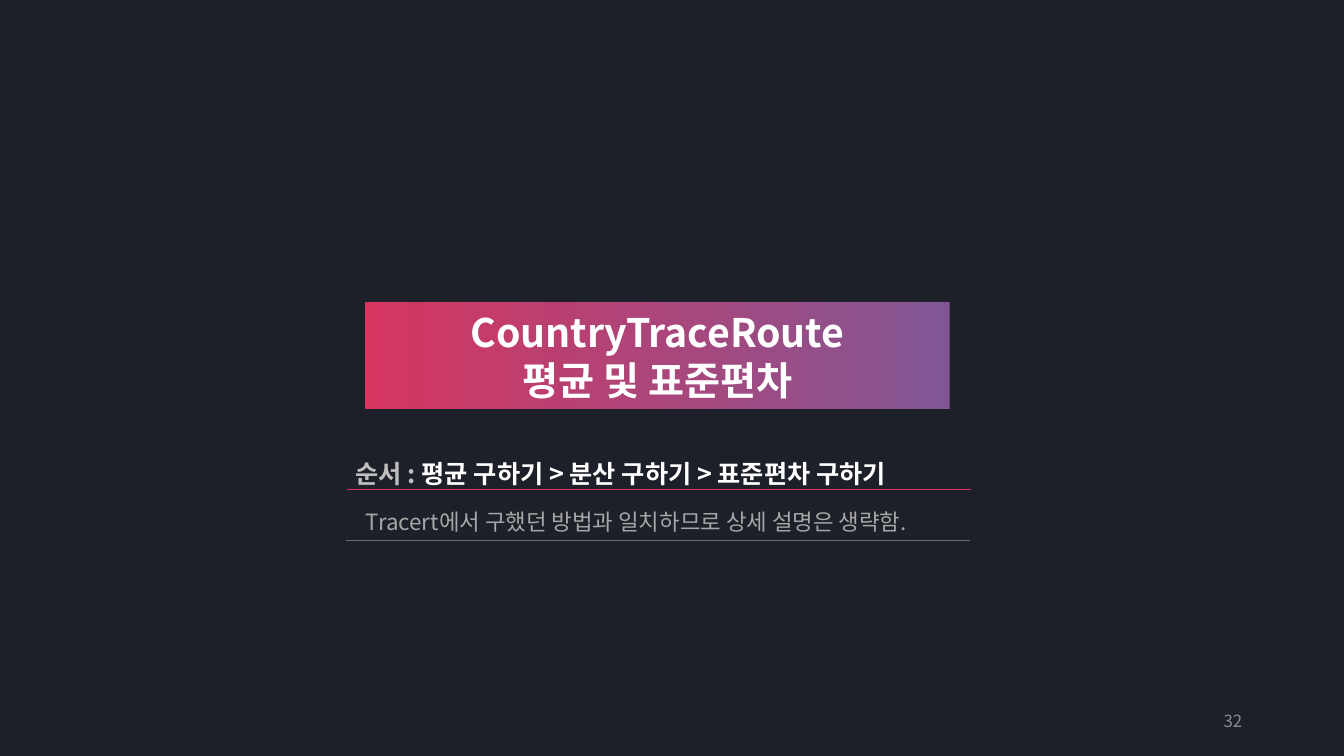
from lxml import etree
from pptx import Presentation
from pptx.dml.color import RGBColor
from pptx.enum.shapes import MSO_CONNECTOR
from pptx.enum.text import MSO_ANCHOR, MSO_AUTO_SIZE, PP_ALIGN
from pptx.oxml.ns import qn
from pptx.util import Inches, Pt

STRAIGHT = MSO_CONNECTOR.STRAIGHT
TOP, MIDDLE = MSO_ANCHOR.TOP, MSO_ANCHOR.MIDDLE
LEFT, CENTER, RIGHT = PP_ALIGN.LEFT, PP_ALIGN.CENTER, PP_ALIGN.RIGHT
FIXED_SIZE = MSO_AUTO_SIZE.NONE

FONT_NAME = "Noto Sans CJK KR"
BACKGROUND = RGBColor(0x1D, 0x20, 0x29)
WHITE = RGBColor(0xFF, 0xFF, 0xFF)
PINK = RGBColor(0xD5, 0x35, 0x5F)
PURPLE = RGBColor(0x81, 0x56, 0x95)
LABEL_GRAY = RGBColor(0xBF, 0xBF, 0xBF)
NOTE_GRAY = RGBColor(0xA6, 0xA6, 0xA6)
NUMBER_GRAY = RGBColor(0x8C, 0x8C, 0x8C)
RULE_GRAY = RGBColor(0x6A, 0x6B, 0x70)


def set_attributes(target, values):
    """Set each named attribute of the target."""
    for name, value in values.items():
        setattr(target, name, value)


def place(shape, left, top, width, height):
    """Move and size a shape, in inches."""
    box = {"left": left, "top": top, "width": width, "height": height}
    set_attributes(shape, {name: Inches(value) for name, value in box.items()})


def add_run(paragraph, text, size, color, bold=False):
    """Add a formatted run whose font also covers Korean text."""
    run = paragraph.add_run()
    run.text = text
    set_attributes(run.font, {"name": FONT_NAME, "size": Pt(size), "bold": bold})
    run.font.color.rgb = color
    latin = run.font._element.find(qn("a:latin"))
    east_asian = etree.Element(qn("a:ea"), typeface=FONT_NAME)
    latin.addnext(east_asian)


def write_lines(shape, lines, anchor=TOP, alignment=LEFT, line_spacing=None):
    """Write lines, each a list of run arguments, into a shape."""
    frame = shape.text_frame
    set_attributes(frame, {"word_wrap": True, "auto_size": FIXED_SIZE,
                           "vertical_anchor": anchor})
    for index, runs in enumerate(lines):
        paragraph = frame.add_paragraph() if index else frame.paragraphs[0]
        set_attributes(paragraph, {"alignment": alignment,
                                   "line_spacing": line_spacing})
        for run in runs:
            add_run(paragraph, *run)


def add_text(slide, box, runs, **layout):
    """Add a text box holding one line."""
    shape = slide.shapes.add_textbox(*map(Inches, box))
    write_lines(shape, [runs], **layout)


def format_title(title, box, lines):
    """Turn the title placeholder into a rounded gradient banner."""
    place(title, *box)
    geometry = etree.Element(qn("a:prstGeom"), prst="roundRect")
    etree.SubElement(geometry, qn("a:avLst"))
    title._element.spPr.insert(1, geometry)
    title.fill.gradient()
    title.fill.gradient_angle = 180
    for stop, color in zip(title.fill.gradient_stops, (PURPLE, PINK)):
        stop.color.rgb = color
    write_lines(title, [[(text, 28, WHITE, True)] for text in lines],
                anchor=MIDDLE, alignment=CENTER)


def add_rule(slide, left, top, width, color):
    """Add a thin horizontal rule without a shadow."""
    rule = slide.shapes.add_connector(
        STRAIGHT, Inches(left), Inches(top), Inches(left + width), Inches(top))
    rule.line.color.rgb = color
    rule.line.width = Pt(0.5)
    etree.SubElement(rule._element.spPr, qn("a:effectLst"))


def main():
    """Build and save the section slide."""
    presentation = Presentation()
    set_attributes(presentation, {"slide_width": Inches(13.33),
                                  "slide_height": Inches(7.5)})
    slide = presentation.slides.add_slide(presentation.slide_layouts[5])
    slide.background.fill.solid()
    slide.background.fill.fore_color.rgb = BACKGROUND

    format_title(slide.shapes.title, (3.62, 3, 5.8, 1.06),
                 ["CountryTraceRoute", "평균 및 표준편차"])
    add_text(slide, (3.43, 4.35, 7.38, 0.5),
             [("순서 : ", 18, LABEL_GRAY, True),
              ("평균 구하기 > 분산 구하기 > 표준편차 구하기", 18, WHITE, True)],
             line_spacing=1.5)
    add_rule(slide, 3.44, 4.85, 6.19, PINK)
    add_rule(slide, 3.43, 5.36, 6.19, RULE_GRAY)
    add_text(slide, (3.53, 4.99, 6.11, 0.37),
             [("Tracert에서 구했던 방법과 일치하므로 상세 설명은 생략함.", 16, NOTE_GRAY)])
    add_text(slide, (9.42, 6.95, 3, 0.4), [("32", 12, NUMBER_GRAY)],
             anchor=MIDDLE, alignment=RIGHT)
    presentation.save("out.pptx")


if __name__ == "__main__":
    main()
